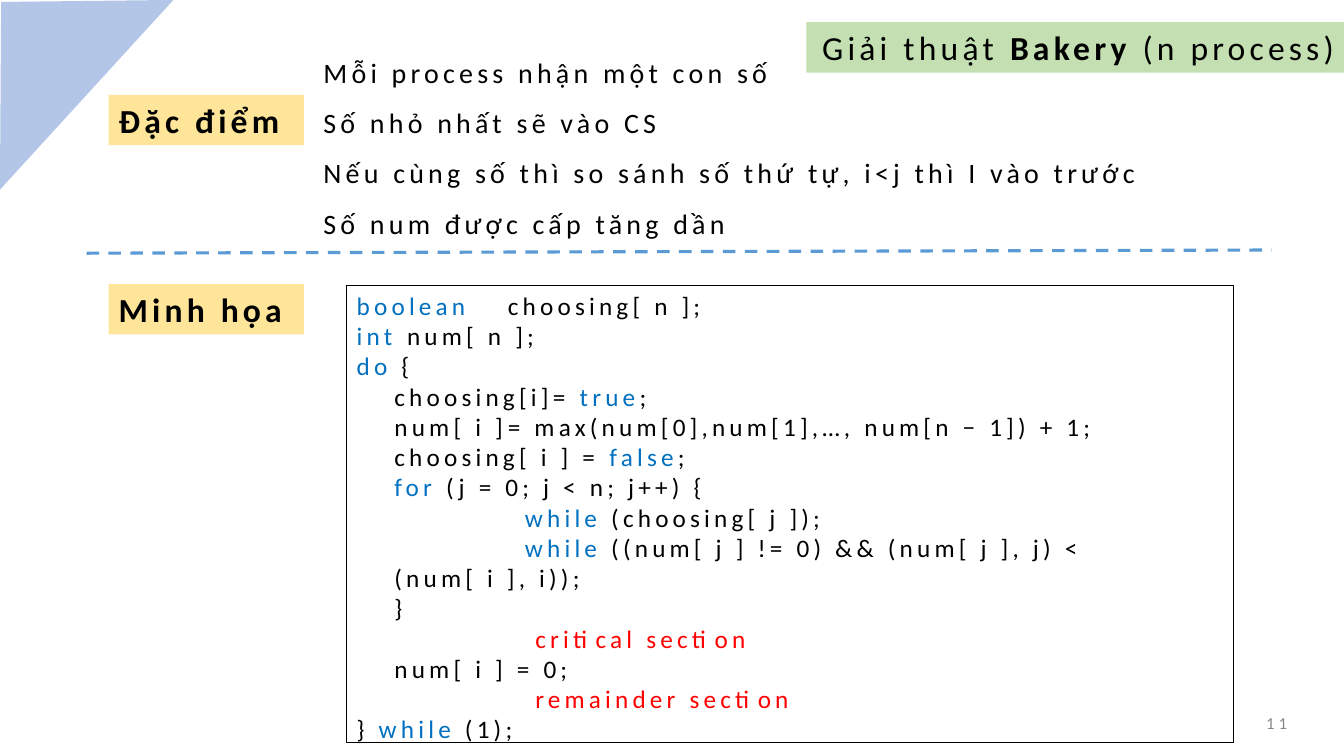
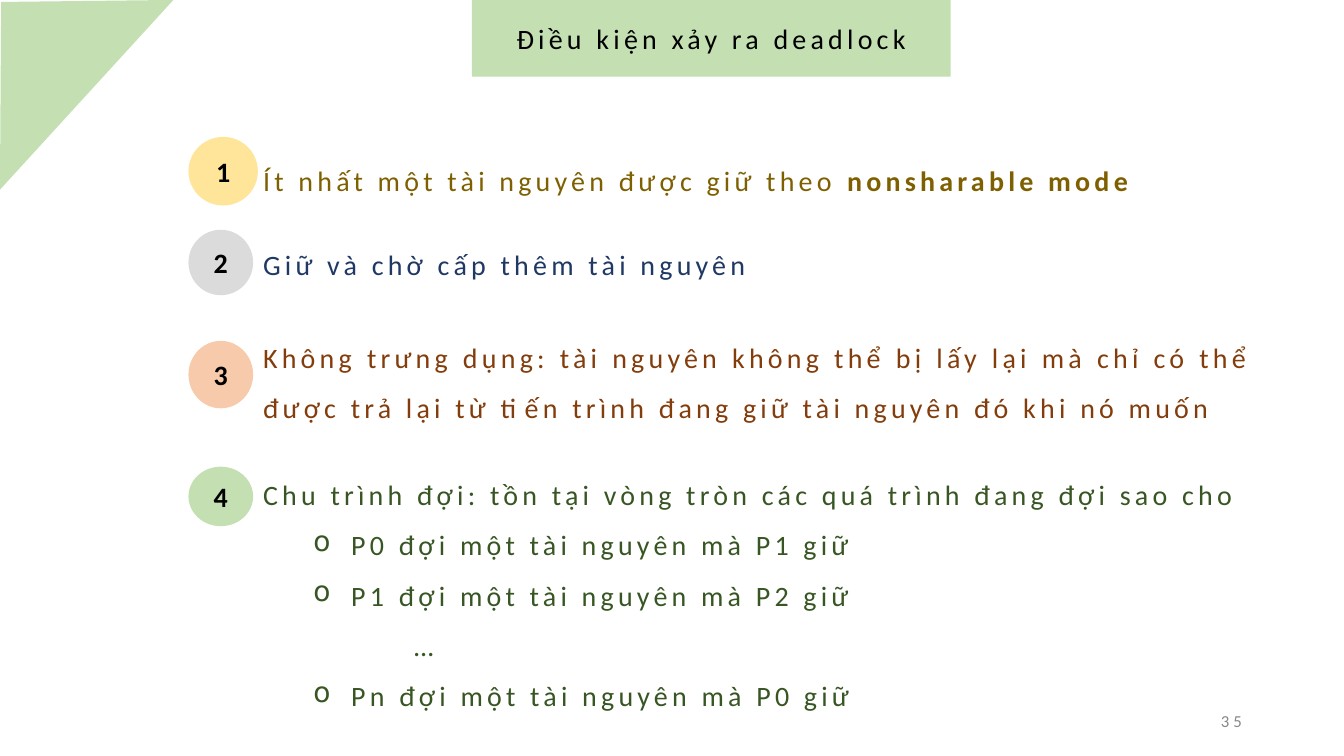
from lxml import etree
from pptx import Presentation
from pptx.dml.color import RGBColor
from pptx.enum.dml import MSO_LINE
from pptx.enum.shapes import MSO_CONNECTOR, MSO_SHAPE
from pptx.enum.text import MSO_ANCHOR, PP_ALIGN
from pptx.oxml.ns import qn
from pptx.util import Cm, Pt

RECT, OVAL = MSO_SHAPE.RECTANGLE, MSO_SHAPE.OVAL
STRAIGHT, DASH = MSO_CONNECTOR.STRAIGHT, MSO_LINE.DASH
TOP, MIDDLE = MSO_ANCHOR.TOP, MSO_ANCHOR.MIDDLE
LEFT, CENTER, RIGHT = PP_ALIGN.LEFT, PP_ALIGN.CENTER, PP_ALIGN.RIGHT
JUST = PP_ALIGN.JUSTIFY

BLACK = RGBColor(0x00, 0x00, 0x00)
GRAY = RGBColor(0x88, 0x88, 0x88)
SILVER = RGBColor(0xDB, 0xDB, 0xDB)
YELLOW = RGBColor(0xFE, 0xE5, 0x99)
GREEN = RGBColor(0xC4, 0xE0, 0xB2)
PERI = RGBColor(0xB3, 0xC6, 0xE7)
PEACH = RGBColor(0xF7, 0xCA, 0xAC)
SKY = RGBColor(0x5B, 0x9B, 0xD5)
BLUE = RGBColor(0x00, 0x70, 0xC0)
RED = RGBColor(0xFF, 0x00, 0x00)
OLIVE = RGBColor(0x7F, 0x60, 0x00)
NAVY = RGBColor(0x1F, 0x38, 0x64)
BROWN = RGBColor(0x83, 0x3C, 0x0B)
FOREST = RGBColor(0x38, 0x56, 0x23)

STEP = 0.95
DEEP = 4.24
LABEL = 4.5


class Deck:
    font = "Calibri"
    track = "300"

    def __init__(self):
        self.prs = Presentation()
        self.prs.slide_width = Cm(33.87)
        self.prs.slide_height = Cm(19.05)
        self.slide = None

    def page(self, color):
        self.slide = self.prs.slides.add_slide(self.prs.slide_layouts[6])
        pen = self.slide.shapes.build_freeform(Cm(0.03), Cm(0.05))
        pen.add_line_segments([(0, Cm(4.78)), (Cm(4.37), 0)])
        self.paint(pen.convert_to_shape(), color)

    def paint(self, shape, fill, edge=None):
        shape.shadow.inherit = False
        if fill is None:
            shape.fill.background()
        else:
            shape.fill.solid()
            shape.fill.fore_color.rgb = fill
        if edge is None:
            shape.line.fill.background()
        else:
            shape.line.color.rgb = edge
            shape.line.width = Pt(0.75)

    def shape(self, kind, area, fill, edge=None, anchor=TOP):
        shape = self.slide.shapes.add_shape(kind, *map(Cm, area))
        self.paint(shape, fill, edge)
        return self.frame(shape, anchor)

    def box(self, area, anchor=TOP):
        return self.frame(self.slide.shapes.add_textbox(*map(Cm, area)), anchor)

    def frame(self, shape, anchor):
        frame = shape.text_frame
        frame.word_wrap = True
        frame.vertical_anchor = anchor
        return frame

    def para(self, frame, text, size=20, color=BLACK, align=LEFT, bold=False,
             accent=None, space=None, first=0, wrap=0, tab=None, bullet=None):
        """Segments between bars take the accent colour, or bold without one."""
        para = frame.paragraphs[0]
        if para.runs:
            para = frame.add_paragraph()
        para.alignment = align
        if space:
            para.line_spacing = space
        props = para._p.get_or_add_pPr()
        props.set("marL", str(Cm(wrap)))
        props.set("indent", str(Cm(first - wrap)))
        if bullet:
            tint = etree.SubElement(props, qn("a:buClr"))
            etree.SubElement(tint, qn("a:srgbClr"), val=str(color))
            etree.SubElement(props, qn("a:buChar"), char=bullet)
        if tab:
            stops = etree.SubElement(props, qn("a:tabLst"))
            etree.SubElement(stops, qn("a:tab"), pos=str(Cm(tab)), algn="l")
        for index, part in enumerate(text.split("|")):
            if part:
                marked = index % 2 == 1
                run = para.add_run()
                run.text = part
                run.font.name = self.font
                run.font.size = Pt(size)
                run.font.bold = bold or (marked and accent is None)
                run.font.color.rgb = accent if marked and accent else color
                run._r.get_or_add_rPr().set("spc", self.track)

    def label(self, top, text):
        frame = self.shape(RECT, (2.74, top, 4.92, 1.27), YELLOW)
        self.para(frame, text, 24, bold=True)

    def title(self, area, text, size, align, anchor):
        frame = self.shape(RECT, area, GREEN, anchor=anchor)
        self.para(frame, text, size, align=align)

    def badge(self, area, number, fill):
        frame = self.shape(OVAL, area, fill, anchor=MIDDLE)
        self.para(frame, number, align=CENTER, bold=True)

    def rule(self, *ends):
        line = self.slide.shapes.add_connector(STRAIGHT, *map(Cm, ends))
        line.line.color.rgb = SKY
        line.line.width = Pt(2.25)
        line.line.dash_style = DASH
        etree.SubElement(line._element.spPr, qn("a:effectLst"))

    def number(self, left, top, text):
        frame = self.box((left, top, 7.62, 1.02), MIDDLE)
        self.para(frame, text, 12, GRAY, RIGHT)


TRAITS = [
    "Mỗi process nhận một con số",
    "Số nhỏ nhất sẽ vào CS",
    "Nếu cùng số thì so sánh số thứ tự, i<j thì I vào trước",
    "Số num được cấp tăng dần",
]

CODE = [
    ("|boolean|\tchoosing[ n ];", {"tab": 4.35}),
    ("|int|\tnum[ n ];", {"tab": 6.04}),
    ("|do| {", {}),
    ("choosing[i]= |true|;", {"first": STEP}),
    ("num[ i ]\t= max(num[0],num[1],…, num[n − 1]) + 1;",
     {"first": STEP, "tab": 5.03}),
    ("choosing[ i ] = |false|;", {"first": STEP}),
    ("|for| (j = 0; j < n; j++) {", {"first": STEP}),
    ("|while| (choosing[ j ]);", {"first": DEEP}),
    ("|while| ((num[ j ] != 0) && (num[ j ], j) < (num[ i ], i));",
     {"first": DEEP, "wrap": STEP}),
    ("}", {"first": STEP}),
    ("critical section", {"first": LABEL, "color": RED}),
    ("num[ i ] = 0;", {"first": STEP}),
    ("remainder section", {"first": LABEL, "color": RED}),
    ("} |while| (1);", {}),
]

RULES = [
    ((4.75, 3.45, 1.75, 1.73), YELLOW, 3.56, 1.55, OLIVE, LEFT,
     "Ít nhất một tài nguyên được giữ theo |nonsharable mode"),
    ((4.75, 5.79, 1.63, 1.65), SILVER, 5.69, 1.55, NAVY, LEFT,
     "Giữ và chờ cấp thêm tài nguyên"),
    ((4.75, 8.59, 1.63, 1.7), PEACH, 8.03, 2.82, BROWN, JUST,
     "Không trưng dụng: tài nguyên không thể bị lấy lại mà chỉ có thể "
     "được trả lại từ tiến trình đang giữ tài nguyên đó khi nó muốn"),
    ((4.75, 11.76, 1.63, 1.5), GREEN, 11.48, 6.68, FOREST, JUST,
     "Chu trình đợi: tồn tại vòng tròn các quá trình đang đợi sao cho"),
]

ITEM = {"first": 1.27, "wrap": 2.22, "bullet": "o"}
CYCLE = [
    ("P0 đợi một tài nguyên mà P1 giữ", ITEM),
    ("P1 đợi một tài nguyên mà P2 giữ", ITEM),
    ("…", {"first": 3.81, "wrap": 3.81}),
    ("Pn đợi một tài nguyên mà P0 giữ", ITEM),
]


def bakery(deck):
    deck.page(PERI)
    deck.label(2.39, "Đặc điểm")
    deck.rule(2.18, 6.38, 32.05, 6.3)
    deck.label(7.16, "Minh họa")
    frame = deck.box((7.9, 0.84, 21.26, 5.38))
    for text in TRAITS:
        deck.para(frame, text, space=1.5)
    frame = deck.shape(RECT, (8.74, 7.19, 22.35, 11.53), None, BLACK)
    for text, style in CODE:
        deck.para(frame, text, 18, accent=BLUE, **style)
    deck.number(25.07, 17.7, "11")
    deck.title((20.32, 0.56, 13.55, 1.27),
               "Giải thuật |Bakery| (n process)", 24, RIGHT, TOP)


def deadlock(deck):
    deck.page(GREEN)
    deck.title((11.89, 0, 12.07, 1.93),
               "Điều kiện xảy ra deadlock", 20, CENTER, MIDDLE)
    for index, rule in enumerate(RULES, 1):
        area, fill, top, height, color, align, text = rule
        frame = deck.box((6.38, top, 25.4, height))
        deck.para(frame, text, color=color, align=align, space=1.5)
        deck.badge(area, str(index), fill)
    for text, style in CYCLE:
        deck.para(frame, text, color=FOREST, align=JUST, space=1.5, **style)
    deck.number(23.93, 17.65, "35")


def main():
    deck = Deck()
    bakery(deck)
    deadlock(deck)
    deck.prs.save("out.pptx")


if __name__ == "__main__":
    main()
